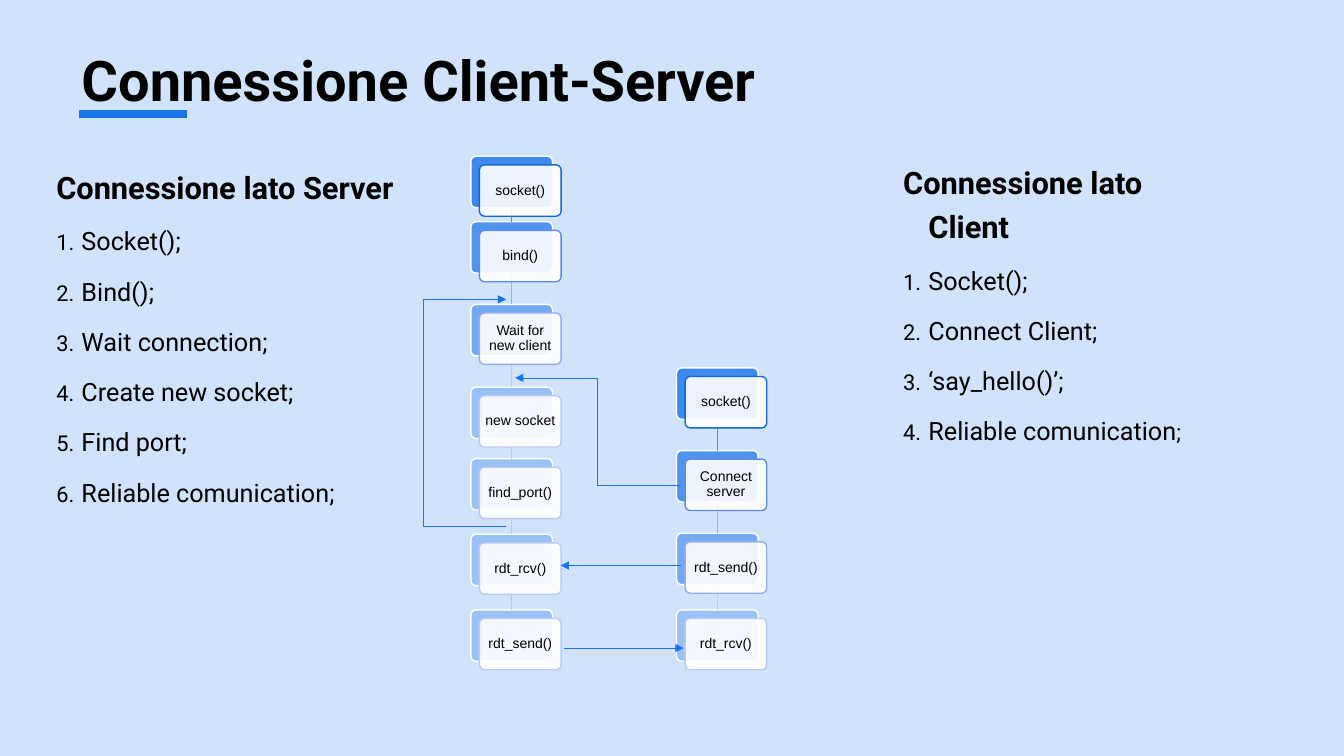
from dataclasses import dataclass

from lxml import etree
from pptx import Presentation
from pptx import util as u
from pptx.dml.color import RGBColor
from pptx.enum import shapes, text
from pptx.oxml import ns


@dataclass(frozen=True)
class Theme:
    background: str = "D1E3FB"
    accent: str = "1973EB"
    white: str = "FFFFFF"
    ink: str = "000000"
    # Per tier: opacity of the back card, outline of the front card
    tiers: tuple = ((80, "1768D5"), (70, "5F8AED"), (50, "98ADF1"), (30, "BDC9F5"))
    heading_font: str = "Roboto"
    node_font: str = "Arial"
    title_size: int = 40
    heading_size: int = 22
    item_size: int = 18
    small_size: int = 16
    node_size: int = 10


def apply(target, values):
    for name, value in values.items():
        setattr(target, name, value)


def add_xml(parent, tag, **attributes):
    return etree.SubElement(parent, ns.qn(tag), attributes)


class SlideBuilder:
    CARD_W, CARD_H, CARD_SHIFT = 0.81, 0.51, 0.085

    def __init__(self, slide, theme):
        self.slide, self.theme = slide, theme
        fill = slide.background.fill
        fill.solid()
        fill.fore_color.rgb = RGBColor.from_string(theme.background)

    def run(self, paragraph, words, size, font=None, bold=False):
        run = paragraph.add_run()
        run.text = words
        apply(run.font, {"name": font or self.theme.heading_font,
                         "size": u.Pt(size), "bold": bold})
        run.font.color.rgb = RGBColor.from_string(self.theme.ink)

    def text_box(self, left, top, width, height):
        frame = self.slide.shapes.add_textbox(
            *map(u.Inches, (left, top, width, height))).text_frame
        frame.word_wrap = True
        return frame

    def title(self, words):
        frame = self.text_box(0.71, 0.35, 11.91, 1.2)
        frame.margin_top = u.Inches(0.1)
        self.run(frame.paragraphs[0], words, self.theme.title_size, bold=True)

    def steps(self, left, top, width, heading, items):
        """Bold heading over a numbered list; returns the last paragraph."""
        frame = self.text_box(left, top, width, 3.9)
        for index, words in enumerate([heading, *items]):
            paragraph = frame.add_paragraph() if index else frame.paragraphs[0]
            apply(paragraph, {"line_spacing": 1.2, "space_before": u.Pt(10)})
            props = paragraph._p.get_or_add_pPr()
            props.set("marL", str(u.Inches(0.25)))
            props.set("indent", str(u.Inches(-0.25)))
            if index:
                add_xml(props, "a:buSzPct", val="87000")
                add_xml(props, "a:buFont", typeface=self.theme.heading_font)
                add_xml(props, "a:buAutoNum", type="arabicPeriod")
                self.run(paragraph, words, self.theme.item_size)
            else:
                self.run(paragraph, words, self.theme.heading_size, bold=True)
        return paragraph

    def line(self, start, end, width=0.5, color=None, arrow=False, elbow=False):
        kind = shapes.MSO_CONNECTOR.ELBOW if elbow else shapes.MSO_CONNECTOR.STRAIGHT
        connector = self.slide.shapes.add_connector(
            kind, *map(u.Inches, (*start, *end)))
        connector.line.width = u.Pt(width)
        connector.line.color.rgb = RGBColor.from_string(color or self.theme.accent)
        if arrow:
            add_xml(connector.line._get_or_add_ln(), "a:tailEnd", type="triangle")
        add_xml(connector._element.spPr, "a:effectLst")
        return connector

    def card(self, left, top, fill, opacity, outline):
        card = self.slide.shapes.add_shape(
            shapes.MSO_SHAPE.ROUNDED_RECTANGLE,
            *map(u.Inches, (left, top, self.CARD_W, self.CARD_H)))
        card.adjustments[0] = 0.1
        card.shadow.inherit = False
        card.fill.solid()
        card.fill.fore_color.rgb = RGBColor.from_string(fill)
        color = card._element.spPr.find(ns.qn("a:solidFill"))[0]
        add_xml(color, "a:alpha", val=str(opacity * 1000))
        card.line.width = u.Pt(1)
        card.line.color.rgb = RGBColor.from_string(outline)
        return card

    def label(self, card, words):
        frame = card.text_frame
        inset = u.Inches(0.03)
        apply(frame, {"word_wrap": True, "vertical_anchor": text.MSO_ANCHOR.MIDDLE,
                      "margin_left": inset, "margin_right": inset,
                      "margin_top": inset, "margin_bottom": inset})
        paragraph = frame.paragraphs[0]
        apply(paragraph, {"alignment": text.PP_ALIGN.CENTER, "line_spacing": 0.9})
        self.run(paragraph, words, self.theme.node_size, self.theme.node_font)

    def call_chain(self, left, calls):
        """Column of double cards, each linked to the one above."""
        theme = self.theme
        tiers = [theme.tiers[min(i, len(theme.tiers) - 1)] for i in range(len(calls))]
        backs = [self.card(left, top, theme.accent, opacity, theme.white)
                 for (_, top), (opacity, _) in zip(calls, tiers)]
        middle = left + self.CARD_W / 2
        for i in range(1, len(calls)):
            link = self.line((middle, calls[i - 1][1] + self.CARD_H),
                             (middle, calls[i][1]), 1, tiers[i][1])
            link.begin_connect(backs[i - 1], 2)
            link.end_connect(backs[i], 0)
        for (words, top), (_, outline) in zip(calls, tiers):
            front = self.card(left + self.CARD_SHIFT, top + self.CARD_SHIFT,
                              theme.white, 90, outline)
            self.label(front, words)


def main():
    deck = Presentation()
    apply(deck, {"slide_width": u.Inches(13.33), "slide_height": u.Inches(7.5)})
    theme = Theme()
    page = SlideBuilder(deck.slides.add_slide(deck.slide_layouts[6]), theme)

    # Title with its underline
    page.line((0.78, 1.13), (1.85, 1.13), width=6)
    page.title("Connessione Client-Server")

    # Server and client steps
    page.steps(0.46, 1.55, 3.75, "Connessione lato Server",
               ["Socket();", "Bind();", "Wait connection;", "Create new socket;",
                "Find port;", "Reliable comunication;"])
    last_client_step = page.steps(
        8.86, 1.5, 3.4, "Connessione lato Client",
        ["Socket();", "Connect Client;", "‘say_hello()’;", "Reliable comunication"])
    page.run(last_client_step, ";", theme.small_size)

    # Call chains
    page.call_chain(6.71, [("socket()", 3.65), ("Connect server", 4.47),
                           ("rdt_send()", 5.29), ("rdt_rcv()", 6.05)])
    page.call_chain(4.67, [("socket()", 1.55), ("bind()", 2.2),
                           ("Wait for new client", 3.02), ("new socket", 3.84),
                           ("find_port()", 4.55), ("rdt_rcv()", 5.3),
                           ("rdt_send()", 6.05)])

    # Server loop back to waiting
    loop_left, loop_right, loop_top, loop_bottom = 4.2, 5.02, 2.97, 5.22
    page.line((loop_left, loop_top), (loop_right, loop_top), arrow=True)
    page.line((loop_left, loop_top), (loop_left, loop_bottom))
    page.line((loop_left, loop_bottom), (loop_right, loop_bottom))

    # Messages between client and server
    page.line((6.75, 5.61), (5.56, 5.61), arrow=True)
    page.line((5.59, 6.43), (6.78, 6.43), arrow=True)
    page.line((6.75, 4.82), (5.11, 3.75), arrow=True, elbow=True)

    deck.save("out.pptx")


if __name__ == "__main__":
    main()
